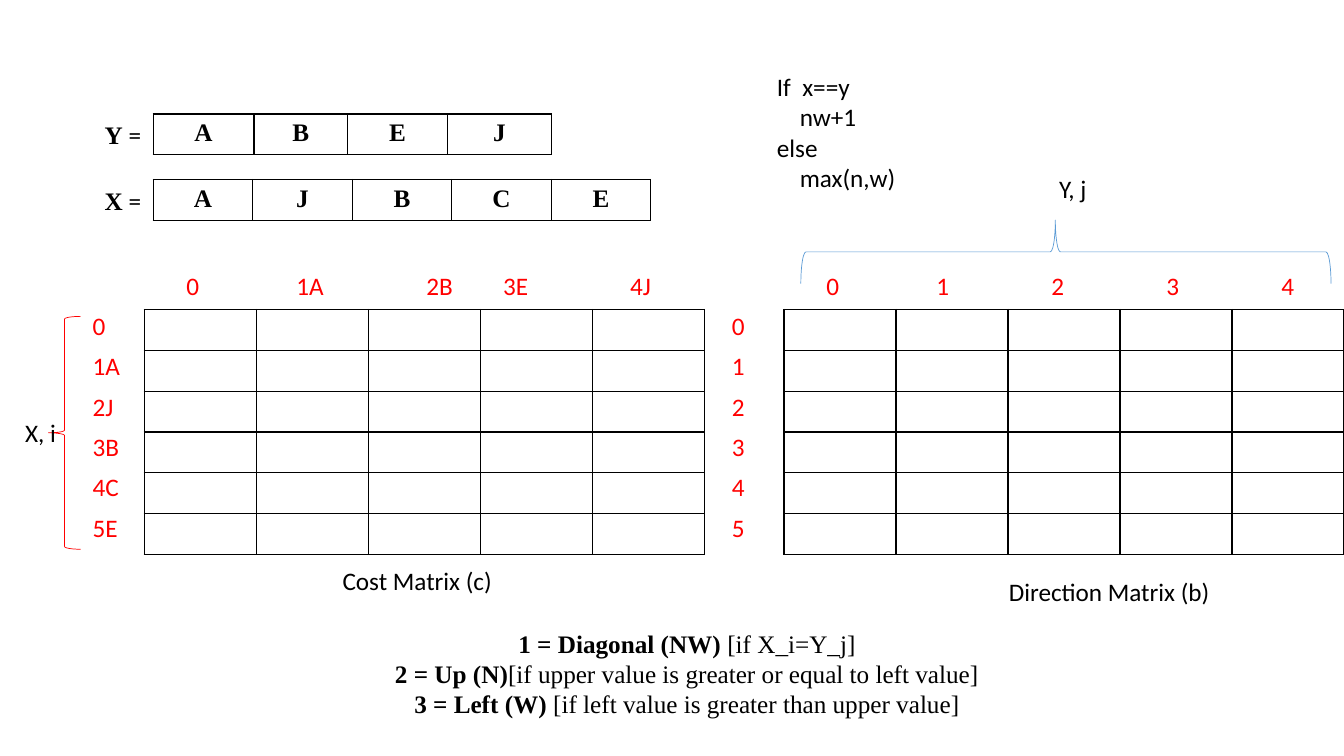
from dataclasses import dataclass
from typing import Optional

from lxml.etree import SubElement
from pptx import Presentation
from pptx.dml.color import RGBColor
from pptx.enum.shapes import MSO_SHAPE
from pptx.enum.text import MSO_AUTO_SIZE as AUTO, PP_ALIGN as AL
from pptx.oxml import parse_xml
from pptx.oxml.ns import nsdecls, qn
from pptx.util import Pt

COLORS = {"black": "000000", "red": "FF0000", "blue": "5B9BD5", "white": "FFFFFF"}
SANS, SERIF = "Calibri", "Times New Roman"
SIZE = 18


@dataclass
class Span:
    text: str
    bold: bool = False
    font: str = SANS


@dataclass
class Line:
    spans: list[Span]
    indent: float = 0
    tabs: tuple[float, ...] = ()


@dataclass
class Label:
    x: float
    y: float
    w: float
    h: float
    lines: list[Line]
    color: str = "black"
    align: Optional[AL] = None


@dataclass
class Grid:
    x: float
    y: float
    widths: list[float]
    row_h: float
    rows: list[list[str]]
    border: str = "black"
    color: str = "black"
    font: str = SANS
    bold: bool = False
    align: Optional[AL] = None


@dataclass
class Brace:
    x: float
    y: float
    w: float
    h: float
    color: str
    rotation: float = 0
    adjust: tuple[float, ...] = ()


def rgb(name: str) -> RGBColor:
    return RGBColor.from_string(COLORS[name])


def draw_label(s, label: Label) -> None:
    sp = s.shapes.add_textbox(Pt(label.x), Pt(label.y), Pt(label.w), Pt(label.h))
    tf = sp.text_frame
    tf.word_wrap = any(line.tabs for line in label.lines)
    tf.auto_size = AUTO.SHAPE_TO_FIT_TEXT
    for i, line in enumerate(label.lines):
        p = tf.add_paragraph() if i else tf.paragraphs[0]
        p.alignment = label.align
        p.font.size = Pt(SIZE)
        p.font.color.rgb = rgb(label.color)
        fonts = {span.font for span in line.spans}
        weights = {span.bold for span in line.spans}
        if len(fonts) == 1:
            p.font.name = line.spans[0].font
        if len(weights) == 1:
            p.font.bold = line.spans[0].bold
        for span in line.spans:
            r = p.add_run()
            r.text = span.text
            if len(fonts) > 1:
                r.font.name = span.font
            if len(weights) > 1:
                r.font.bold = span.bold
        props = p._p.get_or_add_pPr()
        if line.indent:
            props.set("marL", str(Pt(line.indent)))
        if line.tabs:
            stops = parse_xml(f"<a:tabLst {nsdecls('a')}/>")
            for pos in line.tabs:
                SubElement(stops, qn("a:tab"), pos=str(Pt(pos)), algn="l")
            props.insert(0, stops)


def set_borders(cell, color: str) -> None:
    props = cell._tc.get_or_add_tcPr()
    for i, side in enumerate(("lnL", "lnR", "lnT", "lnB")):
        props.insert(i, parse_xml(
            f'<a:{side} {nsdecls("a")} w="{Pt(1)}"><a:solidFill>'
            f'<a:srgbClr val="{COLORS[color]}"/></a:solidFill></a:{side}>'))


def draw_grid(s, grid: Grid) -> None:
    sp = s.shapes.add_table(len(grid.rows), len(grid.widths), Pt(grid.x), Pt(grid.y),
                            Pt(sum(grid.widths)), Pt(grid.row_h * len(grid.rows)))
    tbl = sp.table
    tbl.first_row = tbl.horz_banding = False
    for col, width in zip(tbl.columns, grid.widths):
        col.width = Pt(width)
    for row, texts in zip(tbl.rows, grid.rows):
        row.height = Pt(grid.row_h)
        for cell, text in zip(row.cells, texts):
            cell.fill.background()
            set_borders(cell, grid.border)
            if text:
                p = cell.text_frame.paragraphs[0]
                p.alignment = grid.align
                p.font.size, p.font.name, p.font.bold = Pt(SIZE), grid.font, grid.bold
                p.font.color.rgb = rgb(grid.color)
                p.add_run().text = text


def draw_brace(s, brace: Brace) -> None:
    sp = s.shapes.add_shape(MSO_SHAPE.LEFT_BRACE, Pt(brace.x), Pt(brace.y),
                            Pt(brace.w), Pt(brace.h))
    sp.shadow.inherit = False
    sp.fill.background()
    sp.line.color.rgb = rgb(brace.color)
    sp.line.width = Pt(0.5)
    sp.rotation = brace.rotation
    for i, value in enumerate(brace.adjust):
        sp.adjustments[i] = value


def plain(text: str, indent: float = 0) -> Line:
    return Line([Span(text)], indent)


def sequence_name(name: str, y: float) -> Label:
    return Label(67.7, y, 45.4, 28.8, [Line([Span(name, True, SERIF), Span(" =")])])


def sequence(letters: str, y: float, widths: list[float]) -> Grid:
    return Grid(109.4, y, widths, 29.2, [list(letters)],
                font=SERIF, bold=True, align=AL.CENTER)


def matrix(x: float) -> Grid:
    return Grid(x, 221, [80] * 5, 29.2, [[""] * 5 for _ in range(6)])


def column_heads(x: float, names: list[str], tabs: tuple[float, ...]) -> Label:
    return Label(x, 189.4, 380, 28.8, [Line([Span("\t".join(names))], tabs=tabs)], "red")


def row_heads(x: float, names: list[str]) -> Grid:
    return Grid(x, 218.9, [41], 28.8, [[n] for n in names + [""] * 3], "white", "red")


def rule(name: str, condition: str) -> Line:
    return Line([Span(name, True, SERIF), Span(condition, False, SERIF)])


ITEMS = [
    sequence_name("Y", 81.4),
    sequence("ABEJ", 81.4, [72, 67, 71.3, 74.1]),
    sequence_name("X", 128.9),
    sequence("AJBCE", 128.2, [71.1] * 5),
    matrix(103),
    column_heads(126, ["0", "1A", "2B", "3E", "4J"], (78.6, 171.4, 226.4, 317)),
    row_heads(59, ["0", "1A", "2J", "3B", "4C", "5E"]),
    matrix(560),
    column_heads(583.2, list("01234"), (78.6, 160.7, 242.9, 325)),
    row_heads(515.5, list("012345")),
    Label(272.9, 445, 435.6, 72.7, [
        rule("1 = Diagonal (NW) ", "[if X_i=Y_j]"),
        rule("2 = Up (N)", "[if upper value is greater or equal to left value]"),
        rule("3 = Left (W) ", "[if left value is greater than upper value]"),
    ], align=AL.CENTER),
    Brace(34.6, 226, 23, 166.3, "red"),
    Label(10.8, 294.5, 36.7, 28.8, [plain("X, i")]),
    Brace(738.7, -9.4, 45.4, 378.7, "blue", 90, (0.08, 0.52)),
    Label(749.5, 120.2, 33.8, 28.8, [plain("Y, j")]),
    Label(237.6, 400.3, 122.4, 28.8, [plain("Cost Matrix (c)")]),
    Label(713.5, 408.2, 159.8, 28.8, [plain("Direction Matrix (b)")]),
    Label(547.9, 47.5, 100, 94.3, [plain("If  x==y"), plain("nw+1", 16.3),
                                   plain("else"), plain("max(n,w)", 16.3)]),
]
DRAW = {Label: draw_label, Grid: draw_grid, Brace: draw_brace}


def main() -> None:
    prs = Presentation()
    prs.slide_width, prs.slide_height = Pt(960), Pt(540)
    s = prs.slides.add_slide(prs.slide_layouts[6])
    for item in ITEMS:
        DRAW[type(item)](s, item)
    prs.save("out.pptx")


if __name__ == "__main__":
    main()
